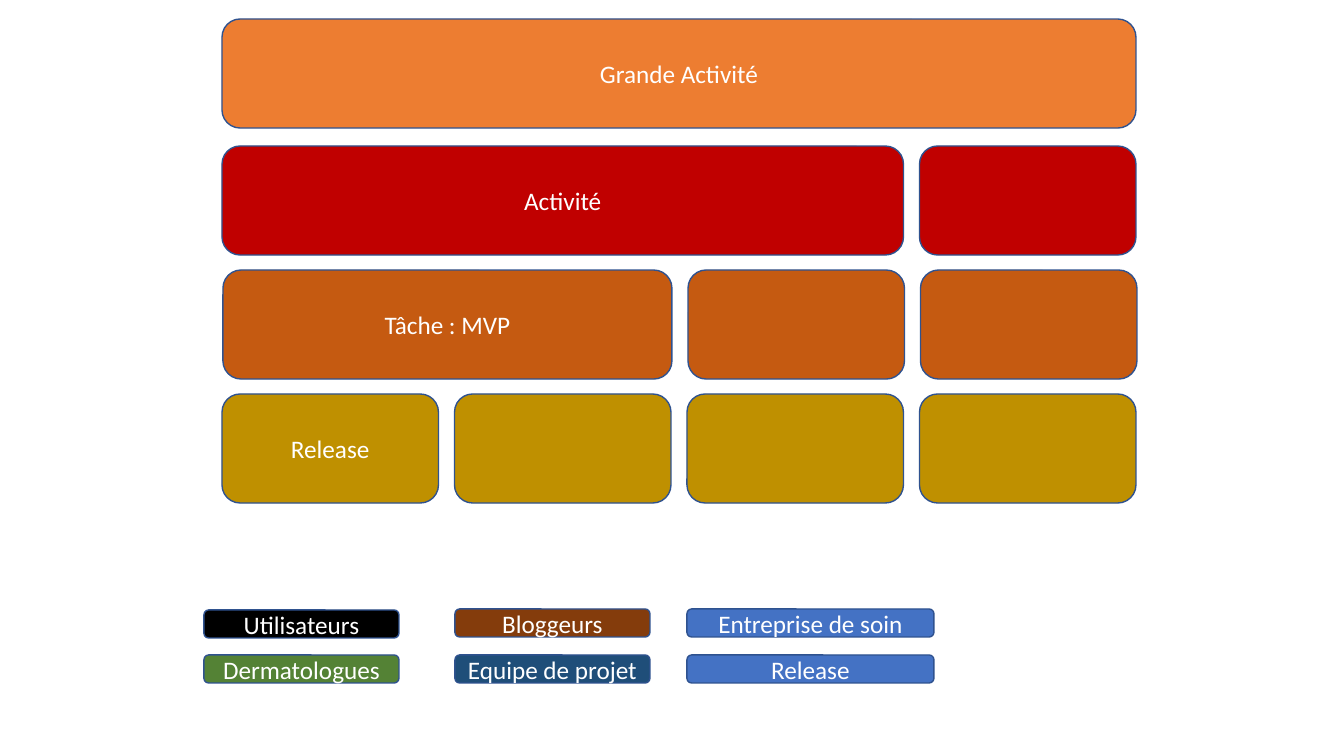
"""Build a story-map slide: four tiers of activity cards above a legend of roles."""
from pptx import Presentation
from pptx.dml.color import RGBColor
from pptx.enum.shapes import MSO_SHAPE
from pptx.enum.text import MSO_ANCHOR, PP_ALIGN
from pptx.util import Pt

ORANGE = RGBColor(0xED, 0x7D, 0x31)
RED = RGBColor(0xC0, 0x00, 0x00)
RUST = RGBColor(0xC5, 0x5A, 0x11)
GOLD = RGBColor(0xBF, 0x90, 0x00)
BLACK = RGBColor(0x00, 0x00, 0x00)
GREEN = RGBColor(0x54, 0x82, 0x35)
BROWN = RGBColor(0x84, 0x3C, 0x0C)
NAVY = RGBColor(0x1F, 0x4E, 0x79)
BLUE = RGBColor(0x44, 0x72, 0xC4)
OUTLINE = RGBColor(0x2F, 0x52, 0x8F)
WHITE = RGBColor(0xFF, 0xFF, 0xFF)

EMU_PER_PX = 914400 / 100.8
SLIDE_WIDTH, SLIDE_HEIGHT = 1344, 756

TIERS = [
    ("Grande Activité", ORANGE, 222, 19),
    ("Activité", RED, 222, 146),
    ("Tâche : MVP", RUST, 223, 270),
    ("Release", GOLD, 222, 394),
]
TIER_WIDTH, TIER_HEIGHT, GAP = 914, 109, 16

LEGEND = [
    (204, 195, [("Utilisateurs", BLACK, 610), ("Dermatologues", GREEN, 655)]),
    (455, 195, [("Bloggeurs", BROWN, 609), ("Equipe de projet", NAVY, 655)]),
    (687, 247, [("Entreprise de soin", BLUE, 609), ("Release", BLUE, 655)]),
]
LEGEND_HEIGHT = 28


def emu(px):
    return round(px * EMU_PER_PX)


def write(box, text, size=18, font="Calibri", color=WHITE):
    box.text_frame.vertical_anchor = MSO_ANCHOR.MIDDLE
    box.text_frame.word_wrap = True
    para = box.text_frame.paragraphs[0]
    para.alignment = PP_ALIGN.CENTER
    span = para.add_run()
    span.text = text
    span.font.size = Pt(size)
    span.font.name = font
    span.font.color.rgb = color


def add_card(page, left, top, width, height, fill, text=""):
    box = page.shapes.add_shape(
        MSO_SHAPE.ROUNDED_RECTANGLE, *map(emu, (left, top, width, height)))
    box.shadow.inherit = False
    box.fill.solid()
    box.fill.fore_color.rgb = fill
    box.line.color.rgb = OUTLINE
    box.line.width = Pt(1)
    if text:
        write(box, text)


def add_tiers(page):
    columns = len(TIERS)
    pitch = (TIER_WIDTH + GAP) / columns
    for row, (text, fill, left, top) in enumerate(TIERS):
        wide = columns - row
        add_card(page, left, top, wide * pitch - GAP, TIER_HEIGHT, fill, text)
        for column in range(wide, columns):
            add_card(page, left + column * pitch, top, pitch - GAP, TIER_HEIGHT, fill)


def add_legend(page):
    for left, width, entries in LEGEND:
        for text, fill, top in entries:
            add_card(page, left, top, width, LEGEND_HEIGHT, fill, text)


def main():
    deck = Presentation()
    deck.slide_width, deck.slide_height = emu(SLIDE_WIDTH), emu(SLIDE_HEIGHT)
    page = deck.slides.add_slide(deck.slide_layouts[6])
    add_tiers(page)
    add_legend(page)
    deck.save("out.pptx")


if __name__ == "__main__":
    main()
